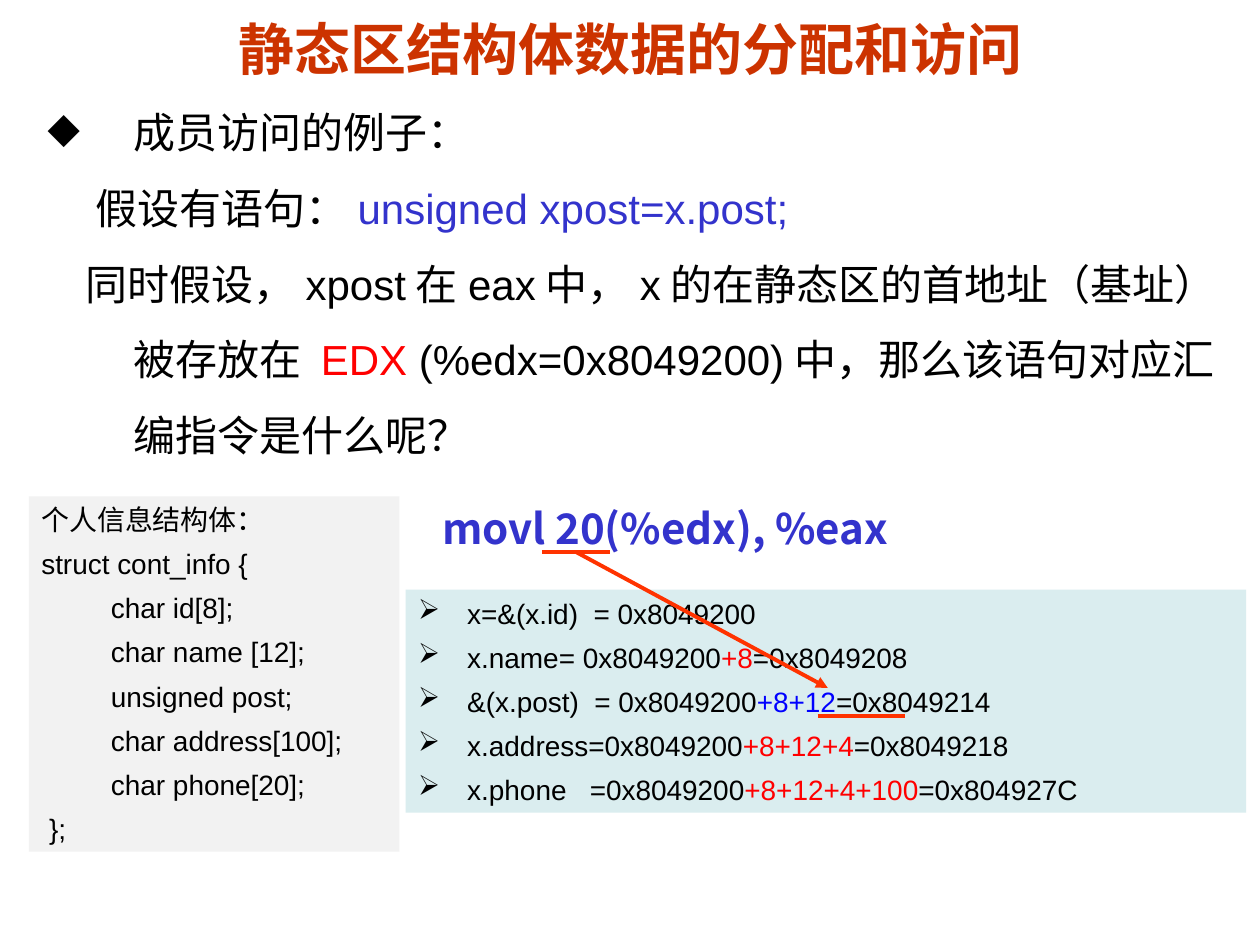
from dataclasses import dataclass

from lxml import etree
from pptx import Presentation
from pptx.dml.color import RGBColor
from pptx.enum import shapes, text
from pptx.oxml.ns import qn
from pptx.util import Inches, Pt


@dataclass(frozen=True)
class Theme:
    black: str = "000000"
    title: str = "CC3300"
    code: str = "3333CC"
    red: str = "FF0000"
    blue: str = "0000FF"
    mark: str = "FF3300"
    white: str = "FFFFFF"
    grey: str = "F2F2F2"
    teal: str = "DAEDEF"
    title_size: int = 32
    body_size: int = 24
    small_size: int = 16
    latin: str = "Arial"
    cjk: str = "Noto Sans CJK SC"


theme = Theme()


def add_panel(page, place, fill, anchor):
    """Add a text panel, filled when a colour is given, and return its text frame."""
    box = page.shapes.add_textbox(*map(Inches, place))
    if fill:
        box.fill.solid()
        box.fill.fore_color.rgb = RGBColor.from_string(fill)
    frame = box.text_frame
    frame.word_wrap = True
    frame.vertical_anchor = anchor
    return frame


def add_line(frame, spans, size, left=0, indent=0, before=0, spacing=None,
             bullet=None, font=theme.latin, bold=False):
    """Write one paragraph from (words, colour) spans, using the empty first one."""
    first = not frame.text
    para = frame.paragraphs[0] if first else frame.add_paragraph()
    props = para._p.get_or_add_pPr()
    props.set("marL", str(Inches(left)))
    props.set("indent", str(Inches(indent)))
    para.line_spacing = spacing
    para.space_before = Pt(0 if first else before)
    if bullet:
        colour = etree.SubElement(props, qn("a:buClr"))
        etree.SubElement(colour, qn("a:srgbClr"), val=theme.black)
        etree.SubElement(props, qn("a:buChar"), char=bullet)
    for words, colour in spans:
        span = para.add_run()
        span.text = words
        span.font.size = Pt(size)
        span.font.bold = bold
        span.font.color.rgb = RGBColor.from_string(colour)
        span.font.name = font
        etree.SubElement(span._r.get_or_add_rPr(), qn("a:ea"), typeface=theme.cjk)
    return para


deck = Presentation()
deck.slide_width, deck.slide_height = Inches(10), Inches(7.5)
page = deck.slides.add_slide(deck.slide_layouts[6])
top, middle = text.MSO_ANCHOR.TOP, text.MSO_ANCHOR.MIDDLE

# Question
question = add_panel(page, (0.28, 0.6, 9.72, 3.7), theme.white, top)
question_lines = [
    (0.68, -0.68, "◆", [("成员访问的例子：", theme.black)]),
    (0.38, 0, None, [("假设有语句：", theme.black),
                     ("unsigned xpost=x.post;", theme.code)]),
    (0.68, -0.38, None, [
        ("同时假设，xpost在eax中，x的在静态区的首地址（基址）被存放在 ", theme.black),
        ("EDX ", theme.red),
        ("(%edx=0x8049200)中，那么该语句对应汇编指令是什么呢？", theme.black)]),
]
for left, indent, bullet, spans in question_lines:
    add_line(question, spans, theme.body_size, left, indent, spacing=1.5, bullet=bullet)

# Structure definition
struct = add_panel(page, (0.23, 3.94, 2.94, 2.82), theme.grey, top)
struct_lines = [
    "个人信息结构体：",
    "struct cont_info {",
    "         char id[8];",
    "         char name [12];",
    "         unsigned post;",
    "         char address[100];",
    "         char phone[20];",
    " };",
]
for line in struct_lines:
    add_line(struct, [(line, theme.black)], theme.small_size, 0.38, -0.38, before=6)

# Member addresses
addresses = add_panel(page, (3.22, 4.68, 6.67, 1.77), theme.teal, middle)
address_lines = [
    ("x=&(x.id)  = 0x8049200", "", theme.black, ""),
    ("x.name= 0x8049200", "+8", theme.red, "=0x8049208"),
    ("&(x.post)  = 0x8049200", "+8+12", theme.blue, "=0x8049214"),
    ("x.address=0x8049200", "+8+12+4", theme.red, "=0x8049218"),
    ("x.phone   =0x8049200", "+8+12+4+100", theme.red, "=0x804927C"),
]
for base, offset, colour, result in address_lines:
    spans = [(base, theme.black), (offset, colour), (result, theme.black)]
    add_line(addresses, [span for span in spans if span[0]], theme.small_size,
             0.39, -0.39, before=6, bullet="➢")

# Arrow from the offset to its sum, and the two underlines
marks = [
    (4.57, 4.38, 6.57, 5.46, True),
    (4.3, 4.38, 4.84, 4.38, False),
    (6.49, 5.68, 7.18, 5.68, False),
]
for *ends, has_head in marks:
    mark = page.shapes.add_connector(shapes.MSO_CONNECTOR.STRAIGHT, *map(Inches, ends))
    mark.line.color.rgb = RGBColor.from_string(theme.mark)
    mark.line.width = Pt(2.25)
    if has_head:
        etree.SubElement(mark.line._get_or_add_ln(), qn("a:tailEnd"), type="triangle")
    etree.SubElement(mark._element.spPr, qn("a:effectLst"))

# Title and answer
title = add_panel(page, (0.51, 0.08, 9, 0.61), None, middle)
heading = add_line(title, [("静态区结构体数据的分配和访问", theme.title)],
                   theme.title_size, bold=True)
heading.alignment = text.PP_ALIGN.CENTER

answer = add_panel(page, (3.41, 3.94, 3.78, 0.5), None, top)
answer.word_wrap = False
add_line(answer, [("movl 20(%edx), %eax", theme.code)], theme.body_size,
         font=theme.cjk, bold=True)

deck.save("out.pptx")
